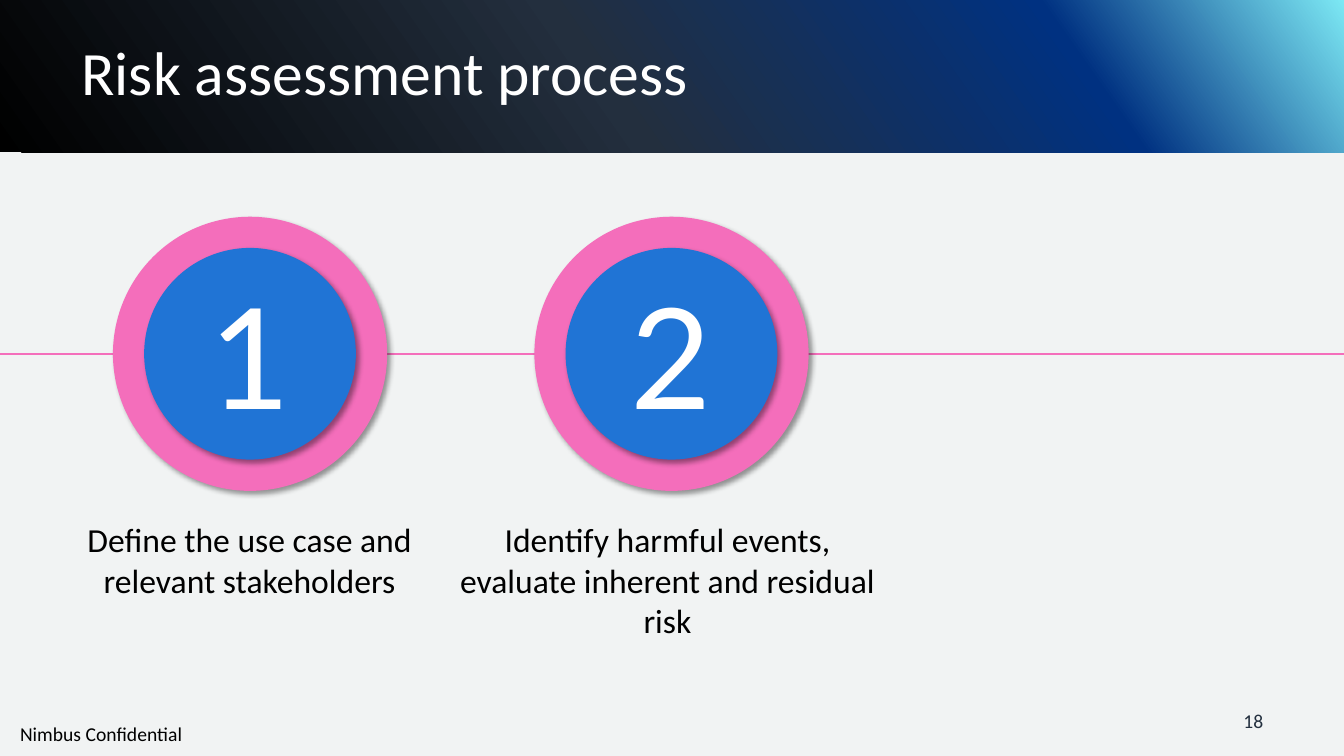
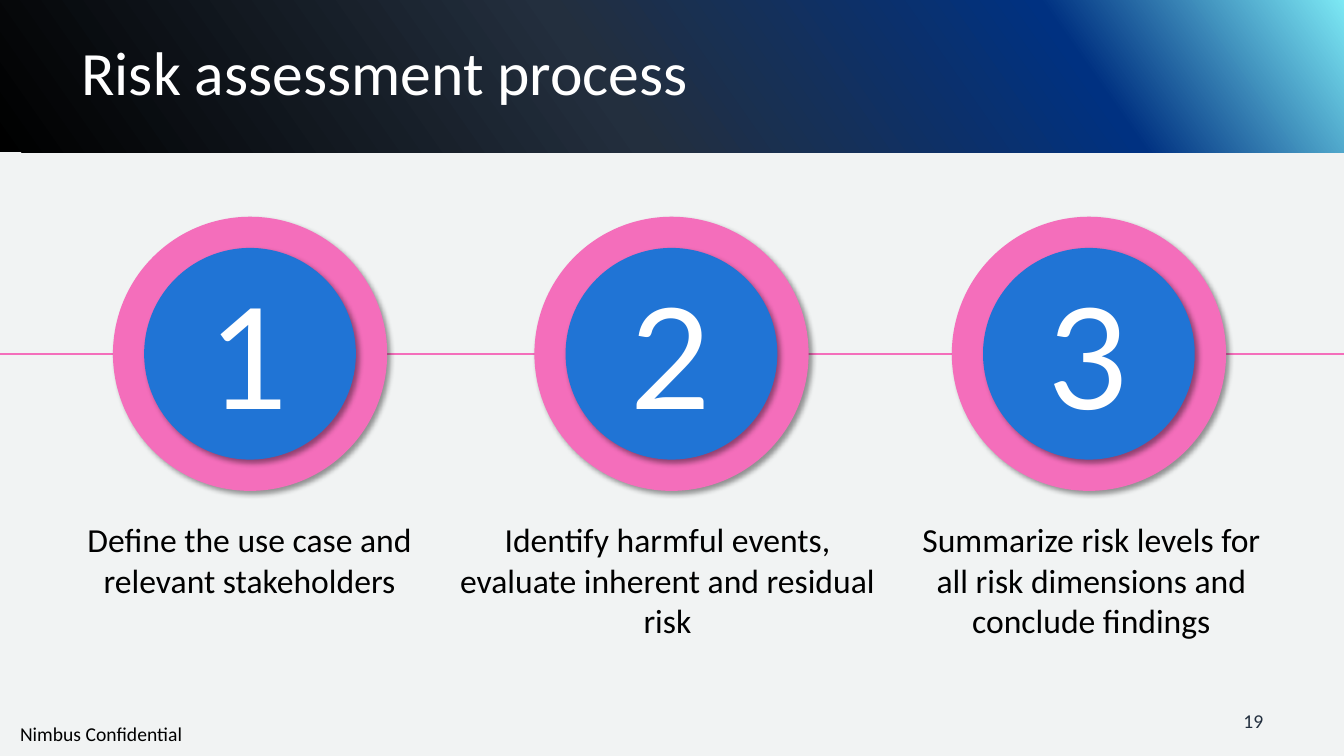
from pptx import Presentation
from pptx.dml.color import RGBColor
from pptx.enum.shapes import MSO_CONNECTOR, MSO_SHAPE
from pptx.enum.text import MSO_ANCHOR, PP_ALIGN
from pptx.oxml.ns import qn
from pptx.util import Inches, Pt
from lxml.etree import SubElement

# Content
TITLE = "Risk assessment process"
FOOTER = "Nimbus Confidential"
# number, circle centre, caption left, caption width, caption
STEPS = [
    ("1", 2.48, 0.68, 3.59, "Define the use case and relevant stakeholders"),
    ("2", 6.66, 4.53, 4.18,
     "Identify harmful events, evaluate inherent and residual risk"),
    ("3", 10.8, 9.06, 3.53,
     "Summarize risk levels for all risk dimensions and conclude findings"),
]
SLIDES = [(18, 2), (19, 3)]  # page number, steps shown

# Shared style
COLORS = {"page": "F1F3F3", "black": "000000", "white": "FFFFFF",
          "slate": "232F3E", "navy": "003181", "cyan": "7CE8F4",
          "pink": "F46EBB", "blue": "2074D5"}
BAND_STOPS = [(0, "black"), (45, "slate"), (79, "navy"), (100, "cyan")]
WIDTH, HEIGHT = 13.33, 7.5
AXIS_Y = 3.51
RING, DISC = 2.72, 2.1


def rgb(name):
    return RGBColor.from_string(COLORS[name])


def write(sp, text, *, size, color="black", font="Calibri",
          align=PP_ALIGN.LEFT, anchor=MSO_ANCHOR.TOP, inset=True,
          spacing=None):
    tf = sp.text_frame
    tf.word_wrap = True
    tf.vertical_anchor = anchor
    if not inset:
        tf.margin_left = tf.margin_right = 0
        tf.margin_top = tf.margin_bottom = 0
    p = tf.paragraphs[0]
    p.alignment = align
    if spacing:
        p.line_spacing = spacing
    r = p.add_run()
    r.text = text
    r.font.name, r.font.size = font, Pt(size)
    r.font.color.rgb = rgb(color)


def textbox(shapes, box, text, **fmt):
    write(shapes.add_textbox(*map(Inches, box)), text, **fmt)


def add_band(s):
    sp = s.shapes.add_shape(MSO_SHAPE.RECTANGLE, 0, 0,
                            Inches(WIDTH), Inches(1.51))
    sp.shadow.inherit = False
    sp.line.fill.background()
    sp.fill.gradient()
    sp.fill.gradient_angle = 35
    stops = sp._element.spPr.find(".//" + qn("a:gsLst"))
    stops.clear()
    for pos, color in BAND_STOPS:
        gs = SubElement(stops, qn("a:gs"), pos=str(pos * 1000))
        SubElement(gs, qn("a:srgbClr"), val=COLORS[color])


def add_axis(s):
    line = s.shapes.add_connector(MSO_CONNECTOR.STRAIGHT, 0, Inches(AXIS_Y),
                                  Inches(WIDTH), Inches(AXIS_Y))
    line.line.color.rgb = rgb("pink")
    line.line.width = Pt(1.5)
    SubElement(line._element.spPr, qn("a:effectLst"))


def add_circle(shapes, center, size, color):
    sp = shapes.add_shape(MSO_SHAPE.OVAL, Inches(center - size / 2),
                          Inches(AXIS_Y - size / 2),
                          Inches(size), Inches(size))
    sp.fill.solid()
    sp.fill.fore_color.rgb = rgb(color)
    sp.line.fill.background()
    # Soft shadow to the lower right
    sp.shadow.inherit = False
    effects = sp._element.spPr.find(qn("a:effectLst"))
    shadow = SubElement(effects, qn("a:outerShdw"), blurRad=str(Pt(4)),
                        dist=str(Pt(3)), dir=str(45 * 60000),
                        algn="tl", rotWithShape="0")
    clr = SubElement(shadow, qn("a:srgbClr"), val=COLORS["black"])
    SubElement(clr, qn("a:alpha"), val="40000")
    return sp


def add_step(s, number, center, left, width, caption):
    shapes = s.shapes.add_group_shape().shapes
    add_circle(shapes, center, RING, "pink")
    disc = add_circle(shapes, center, DISC, "blue")
    write(disc, number, size=100, color="white", font="Lato",
          align=PP_ALIGN.CENTER, anchor=MSO_ANCHOR.MIDDLE, inset=False)
    textbox(shapes, (left, 5.15, width, 1.21), caption, size=24,
            align=PP_ALIGN.CENTER, inset=False)


def add_frame(s, page):
    add_band(s)
    textbox(s.shapes, (0.1, 7.11, 2.11, 0.34), FOOTER, size=14)
    textbox(s.shapes, (0.71, 0.17, 11.95, 1.16), TITLE, size=44,
            color="white", anchor=MSO_ANCHOR.MIDDLE, spacing=0.9)
    textbox(s.shapes, (8.12, 6.95, 4.41, 0.4), str(page), size=14,
            color="slate", align=PP_ALIGN.RIGHT, anchor=MSO_ANCHOR.MIDDLE,
            inset=False)


def main():
    prs = Presentation()
    prs.slide_width, prs.slide_height = Inches(WIDTH), Inches(HEIGHT)
    background = prs.slide_master.background.fill
    background.solid()
    background.fore_color.rgb = rgb("page")
    for page, shown in SLIDES:
        s = prs.slides.add_slide(prs.slide_layouts[6])
        add_frame(s, page)
        add_axis(s)
        for step in STEPS[:shown]:
            add_step(s, *step)
    prs.save("out.pptx")


if __name__ == "__main__":
    main()
